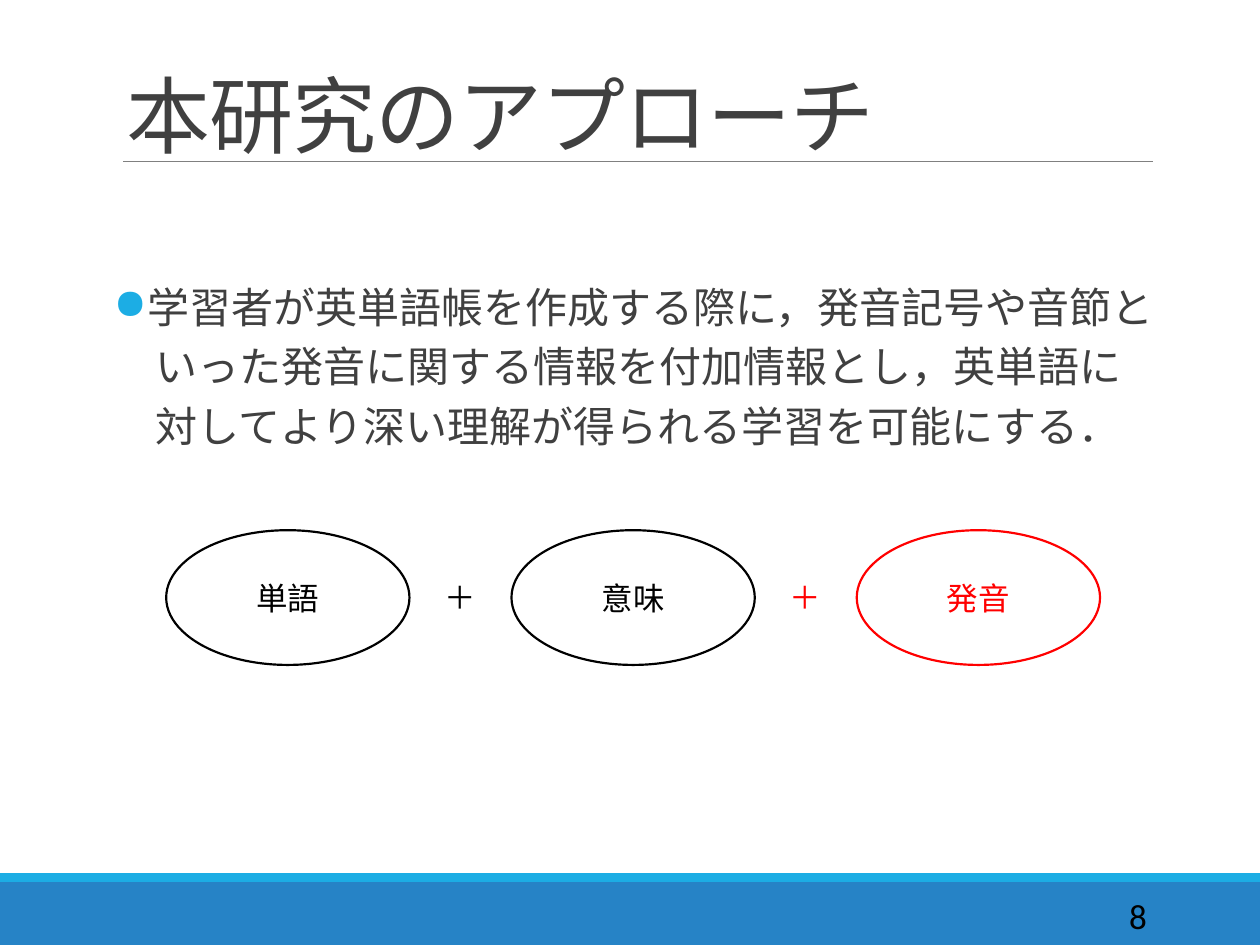
"""Build the slide on the approach of the study: word + meaning + pronunciation."""
from lxml.etree import SubElement
from pptx import Presentation
from pptx.dml.color import RGBColor
from pptx.enum.shapes import MSO_CONNECTOR, MSO_SHAPE
from pptx.enum.text import MSO_ANCHOR, MSO_AUTO_SIZE, PP_ALIGN
from pptx.oxml.ns import qn
from pptx.util import Pt

BLUE = RGBColor(0x26, 0x83, 0xC6)
CYAN = RGBColor(0x1C, 0xAD, 0xE4)
GREY = RGBColor(0x80, 0x80, 0x80)
DARK = RGBColor(0x40, 0x40, 0x40)
BLACK = RGBColor(0, 0, 0)
RED = RGBColor(0xFF, 0, 0)


def add_run(p, text, size, color, font="Calibri"):
    r = p.add_run()
    r.text = text
    r.font.size = Pt(size)
    r.font.name = font
    r.font.color.rgb = color
    return r


def add_box(left, top, width, height, anchor=MSO_ANCHOR.TOP, wrap=True):
    tf = slide.shapes.add_textbox(Pt(left), Pt(top), Pt(width), Pt(height)).text_frame
    tf.word_wrap = wrap
    tf.vertical_anchor = anchor
    return tf


prs = Presentation()
prs.slide_width, prs.slide_height = Pt(720), Pt(540)
slide = prs.slides.add_slide(prs.slide_layouts[5])

for top, height, color in ((504, 36, BLUE), (499, 5, CYAN)):
    sp = slide.shapes.add_shape(MSO_SHAPE.RECTANGLE, 0, Pt(top), Pt(720), Pt(height))
    sp.shadow.inherit = False
    sp.fill.solid()
    sp.fill.fore_color.rgb = color
    sp.line.fill.background()

rule = slide.shapes.add_connector(MSO_CONNECTOR.STRAIGHT, Pt(70.5), Pt(92), Pt(659), Pt(92))
rule.line.color.rgb = GREY
rule.line.width = Pt(0.5)
SubElement(rule._element.spPr, qn("a:effectLst"))

title = slide.shapes.title
title.left, title.top, title.width, title.height = Pt(65), Pt(22.5), Pt(594), Pt(75)
tf = title.text_frame
tf.auto_size = MSO_AUTO_SIZE.NONE
tf.vertical_anchor = MSO_ANCHOR.BOTTOM
p = tf.paragraphs[0]
p.alignment = PP_ALIGN.LEFT
p.line_spacing = 0.85
r = add_run(p, "本研究のアプローチ", 48, DARK)
r.font._element.set("spc", "-50")

tf = add_box(65, 169.5, 594, 90)
tf.margin_left = tf.margin_right = tf.margin_top = tf.margin_bottom = 0
lines = (
    "学習者が英単語帳を作成する際に，発音記号や音節と",
    "いった発音に関する情報を付加情報とし，英単語に",
    "対してより深い理解が得られる学習を可能にする．",
)
for i, text in enumerate(lines):
    p = tf.add_paragraph() if i else tf.paragraphs[0]
    p.line_spacing = Pt(20)
    p.space_before = Pt(12 if i else 0)
    p.space_after = Pt(2)
    pPr = p._p.get_or_add_pPr()
    if i:
        pPr.set("marL", str(Pt(24)))
    else:
        pPr.set("marL", str(Pt(7.2)))
        pPr.set("indent", str(Pt(-7.2)))
        clr = SubElement(pPr, qn("a:buClr"))
        SubElement(clr, qn("a:srgbClr"), val=str(CYAN))
        SubElement(pPr, qn("a:buChar"), char="●")
    add_run(p, text, 24, DARK, "Arial")

tf = add_box(584.5, 508.5, 78, 29, MSO_ANCHOR.MIDDLE)
p = tf.paragraphs[0]
p.alignment = PP_ALIGN.RIGHT
add_run(p, "8", 20, BLACK)

for i, (word, color) in enumerate((("単語", BLACK), ("意味", BLACK), ("発音", RED))):
    left = 95 + i * 197.3
    sp = slide.shapes.add_shape(MSO_SHAPE.OVAL, Pt(left), Pt(303), Pt(139), Pt(77))
    sp.shadow.inherit = False
    sp.fill.background()
    sp.line.color.rgb = color
    sp.line.width = Pt(1.25)
    tf = sp.text_frame
    tf.vertical_anchor = MSO_ANCHOR.MIDDLE
    p = tf.paragraphs[0]
    p.alignment = PP_ALIGN.CENTER
    add_run(p, word, 18, color)
    if i:
        tf = add_box(left - 45.3, 327, 32.4, 29, wrap=False)
        add_run(tf.paragraphs[0], "＋", 18, color)

prs.save("out.pptx")
